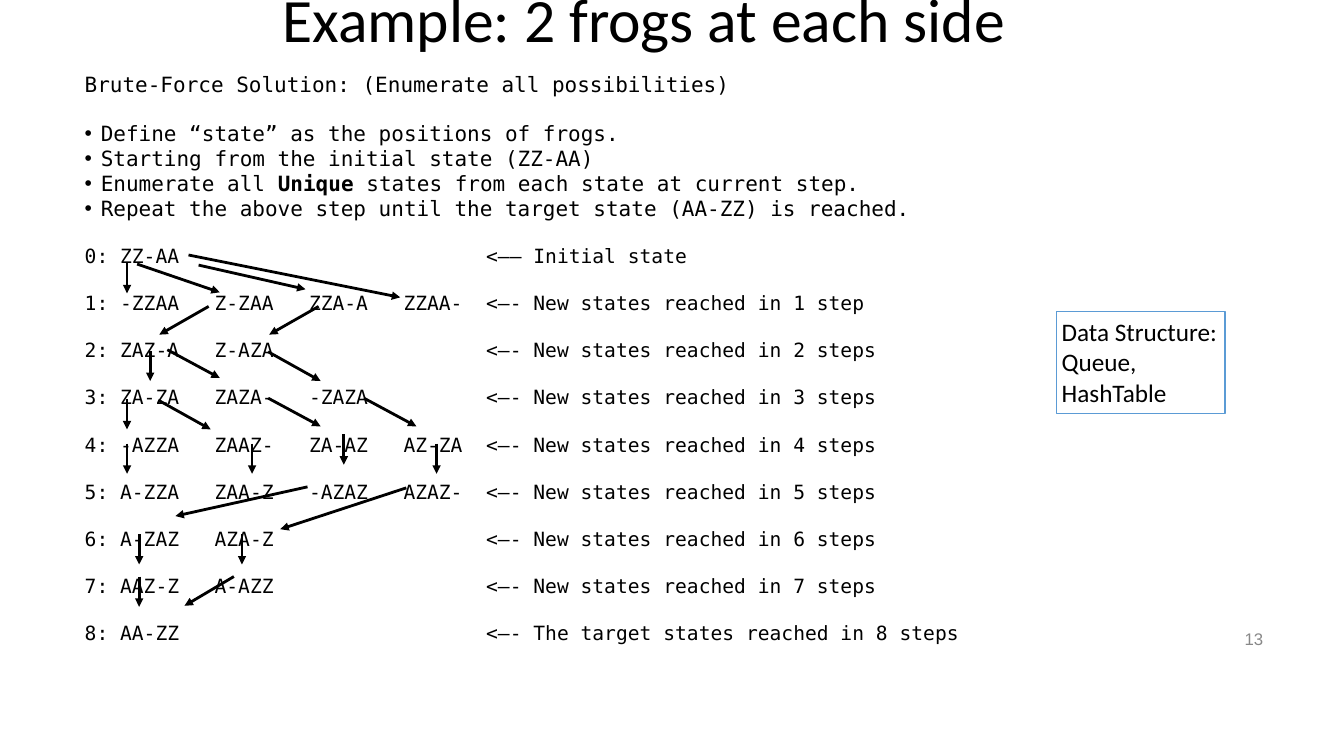
from lxml.etree import SubElement
from pptx import Presentation
from pptx.dml.color import RGBColor
from pptx.enum.shapes import MSO_CONNECTOR, MSO_SHAPE
from pptx.enum.text import MSO_ANCHOR, MSO_AUTO_SIZE, PP_ALIGN
from pptx.oxml.ns import qn
from pptx.util import Inches, Pt

COLORS = {"ink": "000000", "gray": "888888", "blue": "5B9BD5"}
MONO = "DejaVu Sans Mono"
CHAR = 0.1171  # width of one 14 pt mono character, inches
GAP = 16.9     # points left free between state rows


def set_frame(shape, anchor, wrap=True):
    frame = shape.text_frame
    frame.word_wrap = wrap
    frame.auto_size = MSO_AUTO_SIZE.NONE
    frame.vertical_anchor = anchor
    frame.margin_left = frame.margin_right = Inches(0.05)
    frame.margin_top = frame.margin_bottom = Inches(0.05)
    return frame


def add_run(para, text, size, font, color="ink", bold=False):
    run = para.add_run()
    run.text = text
    run.font.size = Pt(size)
    run.font.name = font
    run.font.bold = bold
    run.font.color.rgb = RGBColor.from_string(COLORS[color])


deck = Presentation()
deck.slide_width, deck.slide_height = Inches(13.33), Inches(7.5)
slide = deck.slides.add_slide(deck.slide_layouts[1])
shapes = slide.shapes

# Title
title = shapes.title
title.left, title.top = Inches(0.64), Inches(-0.31)
title.width, title.height = Inches(11.5), Inches(1.07)
para = set_frame(title, MSO_ANCHOR.MIDDLE).paragraphs[0]
para.alignment = PP_ALIGN.CENTER
para.line_spacing = 0.9
add_run(para, "Example: 2 frogs at each side", 44, "Calibri")

# Body: heading and bullets
body = slide.placeholders[1]
body.left, body.top = Inches(0.79), Inches(0.66)
body.width, body.height = Inches(12.31), Inches(1.71)
frame = set_frame(body, MSO_ANCHOR.TOP)
points = [
    ["Brute-Force Solution: (Enumerate all possibilities)"],
    ["Define “state” as the positions of frogs."],
    ["Starting from the initial state (ZZ-AA)"],
    ["Enumerate all ", "Unique", " states from each state at current step."],
    ["Repeat the above step until the target state (AA-ZZ) is reached."],
]
for num, parts in enumerate(points):
    para = frame.add_paragraph() if num else frame.paragraphs[0]
    para.line_spacing = 1.0
    para.space_before = Pt(GAP if num == 1 else 0)
    para.space_after = Pt(0)
    para.alignment = PP_ALIGN.LEFT
    props = para._p.get_or_add_pPr()
    indent = Inches(0.16) if num else 0
    props.set("marL", str(indent))
    props.set("indent", str(-indent))
    if num:
        SubElement(props, qn("a:buChar")).set("char", "•")
    else:
        SubElement(props, qn("a:buNone"))
    for part in parts:
        add_run(para, part, 15, MONO, bold=part == "Unique")

# One row of states per step, set in columns by tab stops
steps = [
    (["ZZ-AA"], "<—— Initial state"),
    (["-ZZAA", "Z-ZAA", "ZZA-A", "ZZAA-"], "<—- New states reached in 1 step"),
    (["ZAZ-A", "Z-AZA"], "<—- New states reached in 2 steps"),
    (["ZA-ZA", "ZAZA-", "-ZAZA"], "<—- New states reached in 3 steps"),
    (["-AZZA", "ZAAZ-", "ZA-AZ", "AZ-ZA"], "<—- New states reached in 4 steps"),
    (["A-ZZA", "ZAA-Z", "-AZAZ", "AZAZ-"], "<—- New states reached in 5 steps"),
    (["A-ZAZ", "AZA-Z"], "<—- New states reached in 6 steps"),
    (["AAZ-Z", "A-AZZ"], "<—- New states reached in 7 steps"),
    (["AA-ZZ"], "<—- The target states reached in 8 steps"),
]
table = shapes.add_textbox(Inches(0.79), Inches(2.37), Inches(12.31), Inches(4.13))
frame = set_frame(table, MSO_ANCHOR.TOP)
for num, (states, note) in enumerate(steps):
    para = frame.add_paragraph() if num else frame.paragraphs[0]
    para.space_before = Pt(GAP if num else 0)
    tabs = SubElement(para._p.get_or_add_pPr(), qn("a:tabLst"))
    for stop in [3 + 8 * col for col in range(1, len(states))] + [34]:
        tab = SubElement(tabs, qn("a:tab"))
        tab.set("pos", str(Inches(stop * CHAR)))
        tab.set("algn", "l")
    add_run(para, f"{num}: " + "\t".join(states + [note]), 14, MONO)

# Arrows from each state to the states it leads to
drops = [(1.26, 2.61), (1.49, 3.48), (1.26, 3.96), (1.26, 4.4), (2.5, 4.4),
         (3.41, 4.31), (4.33, 4.4), (1.38, 5.3), (2.4, 5.3), (1.38, 5.72)]
slants = [
    (1.36, 2.62, 2.18, 2.9), (1.97, 2.63, 3.03, 2.87), (1.87, 2.53, 3.97, 2.95),
    (2.07, 3.04, 1.58, 3.32), (3.16, 3.04, 2.67, 3.32),
    (1.66, 3.47, 2.18, 3.75), (2.66, 3.49, 3.18, 3.78),
    (1.57, 3.97, 2.09, 4.26), (2.66, 3.95, 3.18, 4.23), (3.61, 3.95, 4.13, 4.23),
    (3.05, 4.83, 1.74, 5.12), (4.03, 4.84, 2.78, 5.25), (2.32, 5.72, 1.83, 6.01),
]
for ends in [(x, y, x, y + 0.3) for x, y in drops] + slants:
    arrow = shapes.add_connector(MSO_CONNECTOR.STRAIGHT, *map(Inches, ends))
    arrow.line.width = Pt(2)
    arrow.line.color.rgb = RGBColor.from_string(COLORS["ink"])
    SubElement(arrow.line._get_or_add_ln(), qn("a:tailEnd")).set("type", "triangle")
    SubElement(arrow._element.spPr, qn("a:effectLst"))

# Data structure box
box = shapes.add_shape(MSO_SHAPE.RECTANGLE, Inches(10.48), Inches(3.09),
                       Inches(1.67), Inches(1.01))
box.shadow.inherit = False
box.fill.background()
box.line.width = Pt(1)
box.line.color.rgb = RGBColor.from_string(COLORS["blue"])
frame = set_frame(box, MSO_ANCHOR.TOP, wrap=False)
for num, text in enumerate(["Data Structure:", "Queue,", "HashTable"]):
    para = frame.add_paragraph() if num else frame.paragraphs[0]
    para.alignment = PP_ALIGN.LEFT
    add_run(para, text, 18, "Calibri")

# Slide number
label = shapes.add_textbox(Inches(9.58), Inches(6.19), Inches(3), Inches(0.29))
para = set_frame(label, MSO_ANCHOR.MIDDLE).paragraphs[0]
para.alignment = PP_ALIGN.RIGHT
add_run(para, "13", 12, "Arial", "gray")

deck.save("out.pptx")
